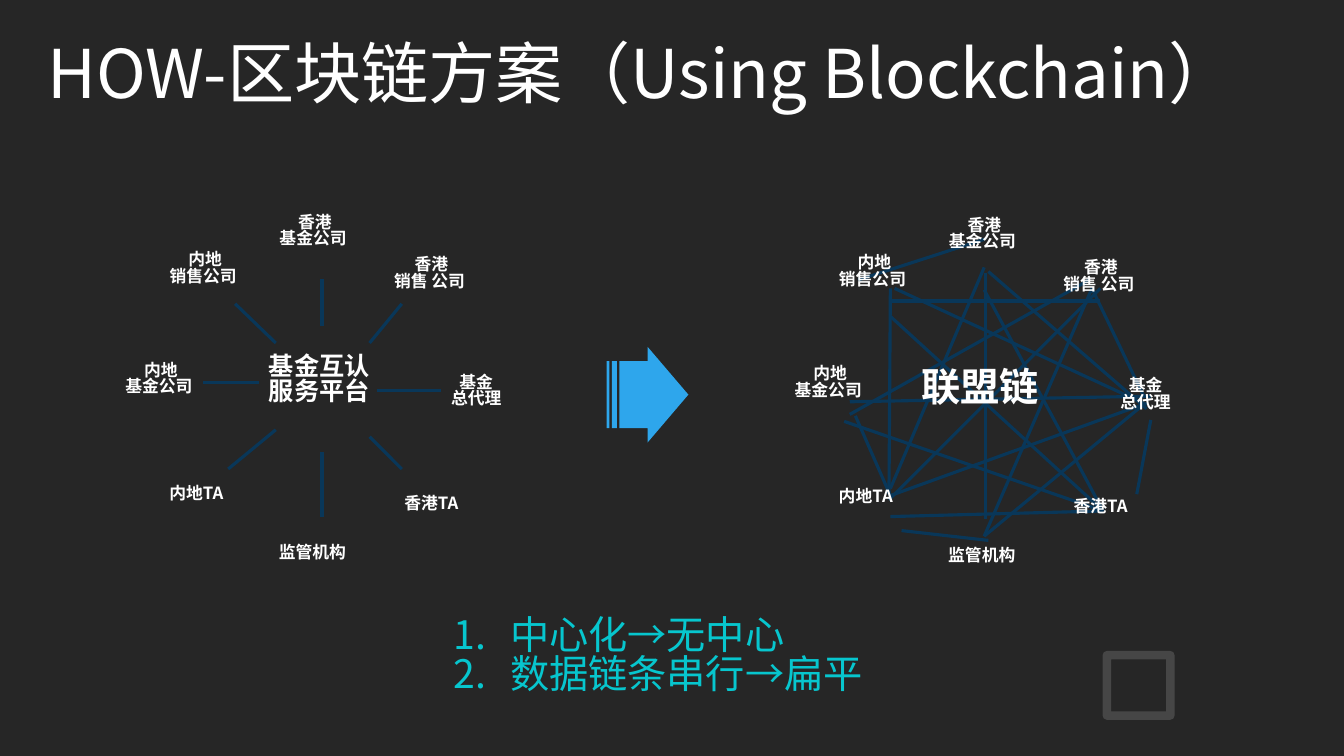
from dataclasses import dataclass

from lxml import etree
from pptx import Presentation
from pptx.dml.color import RGBColor
from pptx.enum.shapes import MSO_CONNECTOR, MSO_SHAPE
from pptx.enum.text import MSO_ANCHOR, MSO_AUTO_SIZE, PP_ALIGN
from pptx.oxml.ns import qn
from pptx.util import Pt

STRAIGHT = MSO_CONNECTOR.STRAIGHT
STRIPED_ARROW = MSO_SHAPE.STRIPED_RIGHT_ARROW
RECTANGLE = MSO_SHAPE.RECTANGLE
TOP = MSO_ANCHOR.TOP
GROW = MSO_AUTO_SIZE.SHAPE_TO_FIT_TEXT
LEFT, CENTER = PP_ALIGN.LEFT, PP_ALIGN.CENTER


@dataclass(frozen=True)
class Theme:
    background: str = "262626"
    text: str = "FFFFFF"
    link: str = "093759"
    arrow: str = "2EA6EC"
    accent: str = "07C6CE"
    title_font: str = "Noto Sans CJK JP"
    body_font: str = "Noto Sans CJK SC"
    title_size: float = 48
    list_size: float = 28
    hub_size: float = 18
    label_size: float = 12
    line_spacing: float = 0.83


HUB_LINKS = [
    (168, 217, 197, 245), (230, 199, 230, 233), (287, 217, 264, 245),
    (269, 279, 315, 279), (264, 312, 287, 335), (230, 323, 230, 369),
    (163, 335, 197, 307), (145, 273, 185, 273),
]
MESH_LINKS = [
    (704, 195, 704, 371), (706, 194, 819, 292), (703, 191, 636, 349),
    (636, 226, 788, 365), (636, 206, 635, 353), (786, 206, 635, 357),
    (780, 206, 703, 383), (818, 288, 703, 383), (636, 369, 788, 365),
    (607, 287, 822, 283), (603, 301, 788, 365), (607, 296, 778, 200),
    (703, 207, 788, 365), (635, 215, 786, 215), (639, 206, 819, 289),
    (819, 288, 636, 354), (822, 300, 812, 353), (611, 297, 636, 354),
    (644, 379, 706, 386), (613, 200, 703, 171), (780, 206, 817, 283),
]
MEMBERS = [
    (["香港", "销售 公司 "], (272.9, 180, 70.6, 36.7)),
    (["监管机构"], (191.5, 385.9, 63.4, 21.6)),
    (["内地", "基金公司 "], (81.4, 255.6, 67, 36.7)),
    (["内地", "销售公司 "], (113, 176.4, 67, 36.7)),
    (["香港", "基金公司 "], (191.5, 149.8, 67, 36.7)),
    (["基金", "总代理"], (314.6, 264.2, 51.1, 36.7)),
    (["内地TA"], (113, 343.4, 54.7, 21.6)),
    (["香港TA"], (280.8, 350.6, 54.7, 21.6)),
]
NETWORK_OFFSETS = [(0, 0), (478.1, 2.2)]


def apply(target, values):
    for name, value in values.items():
        setattr(target, name, value)


class SlideBuilder:
    def __init__(self, slide, theme):
        self.slide = slide
        self.theme = theme
        fill = slide.background.fill
        fill.solid()
        fill.fore_color.rgb = RGBColor.from_string(theme.background)

    def place(self, shape, box):
        names = ("left", "top", "width", "height")
        apply(shape, dict(zip(names, map(Pt, box))))

    def set_text(self, shape, lines, size, color=None, font=None, bold=False,
                 align=LEFT, numbered=False):
        frame = shape.text_frame
        apply(frame, {
            "text": "\n".join(lines), "word_wrap": True, "auto_size": GROW,
            "vertical_anchor": TOP,
            "margin_left": Pt(7.2), "margin_right": Pt(7.2),
            "margin_top": Pt(3.6), "margin_bottom": Pt(3.6),
        })
        font = font or self.theme.body_font
        for paragraph in frame.paragraphs:
            apply(paragraph, {
                "alignment": align, "line_spacing": self.theme.line_spacing,
                "space_before": Pt(0), "space_after": Pt(0),
            })
            if numbered:
                self.number(paragraph)
            for run in paragraph.runs:
                apply(run.font, {"name": font, "size": Pt(size), "bold": bold})
                run.font.color.rgb = RGBColor.from_string(color or self.theme.text)
                east_asian = etree.Element(qn("a:ea"), typeface=font)
                run.font._element.find(qn("a:latin")).addnext(east_asian)

    def number(self, paragraph):
        properties = paragraph._p.get_or_add_pPr()
        properties.set("marL", str(Pt(40.5)))
        properties.set("indent", str(Pt(-40.5)))
        etree.SubElement(properties, qn("a:buFont"), typeface="+mj-lt")
        etree.SubElement(properties, qn("a:buAutoNum"), type="arabicPeriod")

    def title(self, text, box):
        shape = self.slide.shapes.title
        self.place(shape, box)
        self.set_text(shape, [text], self.theme.title_size, font=self.theme.title_font)

    def numbered_list(self, lines, box):
        shape = self.slide.placeholders[1]
        self.place(shape, box)
        self.set_text(shape, lines, self.theme.list_size,
                      color=self.theme.accent, numbered=True)

    def label(self, lines, box, size, align=CENTER):
        shape = self.slide.shapes.add_textbox(*map(Pt, box))
        self.set_text(shape, lines, size, bold=True, align=align)

    def link(self, ends):
        connector = self.slide.shapes.add_connector(STRAIGHT, *map(Pt, ends))
        connector.line.width = Pt(2.25)
        connector.line.color.rgb = RGBColor.from_string(self.theme.link)
        etree.SubElement(connector._element.spPr, qn("a:effectLst"))

    def arrow(self, box):
        shape = self.slide.shapes.add_shape(STRIPED_ARROW, *map(Pt, box))
        shape.shadow.inherit = False
        shape.adjustments[0] = 0.7
        shape.adjustments[1] = 0.5
        shape.fill.solid()
        shape.fill.fore_color.rgb = RGBColor.from_string(self.theme.arrow)
        shape.line.fill.background()

    def emblem(self, box):
        shape = self.slide.shapes.add_shape(RECTANGLE, *map(Pt, box))
        shape.shadow.inherit = False
        shape.fill.background()
        shape.line.width = Pt(6)
        shape.line.color.rgb = RGBColor.from_string(self.theme.text)
        color = shape._element.spPr.find(".//" + qn("a:srgbClr"))
        etree.SubElement(color, qn("a:alpha"), val="15000")


def main():
    presentation = Presentation()
    presentation.slide_width, presentation.slide_height = Pt(960), Pt(540)
    theme = Theme()
    slide = presentation.slides.add_slide(presentation.slide_layouts[1])
    builder = SlideBuilder(slide, theme)
    builder.emblem((790.6, 468, 45.4, 43.2))
    builder.title("HOW-区块链方案（Using Blockchain）", (26.6, 28.8, 889.2, 65.5))
    for ends in HUB_LINKS + MESH_LINKS:
        builder.link(ends)
    builder.label(["基金互认", "服务平台"], (185, 250.6, 87.1, 51.1),
                  theme.hub_size, LEFT)
    builder.arrow((433.4, 247.7, 58.3, 68.4))
    for shift_x, shift_y in NETWORK_OFFSETS:
        for lines, (left, top, width, height) in MEMBERS:
            box = (left + shift_x, top + shift_y, width, height)
            builder.label(lines, box, theme.label_size)
    builder.label(["联盟链"], (650.9, 260.6, 108, 41), theme.list_size, LEFT)
    builder.numbered_list(["中心化→无中心", "数据链条串行→扁平"],
                          (316.8, 437.8, 309.6, 74.9))
    presentation.save("out.pptx")


if __name__ == "__main__":
    main()
